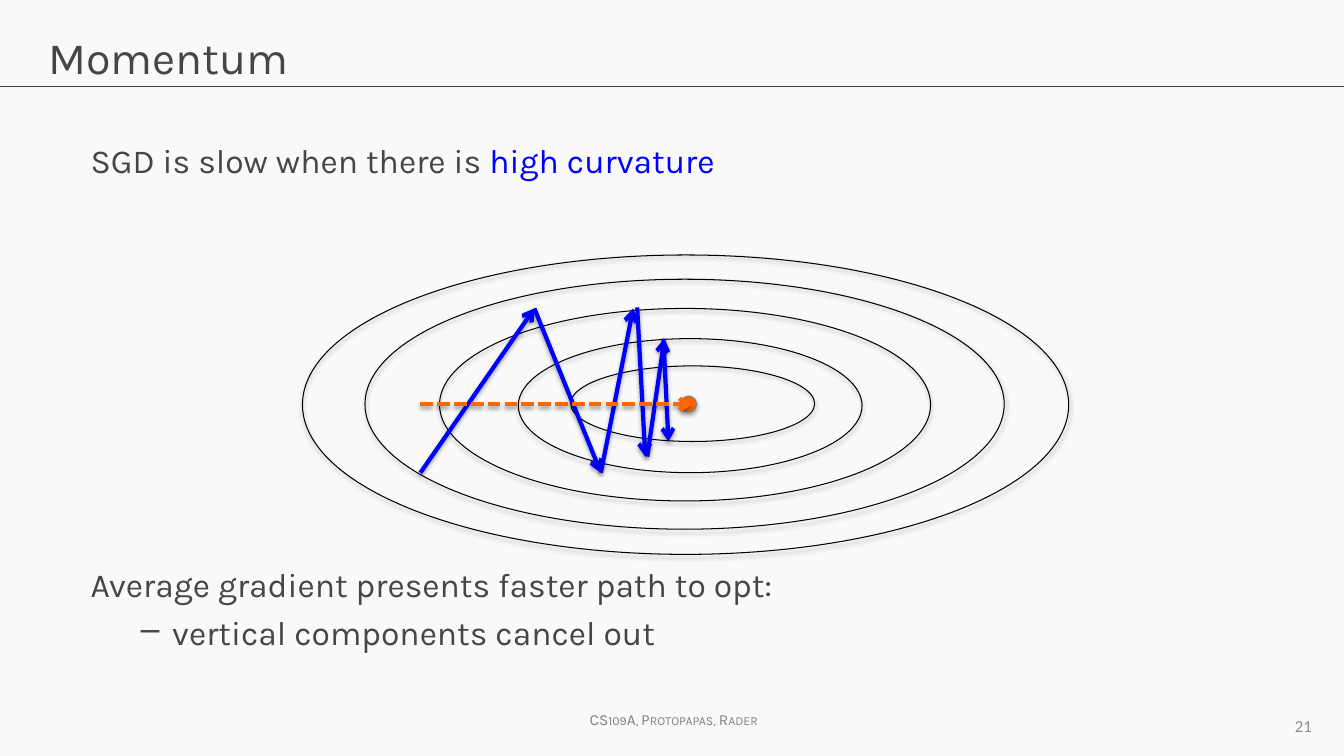
from dataclasses import dataclass
from lxml.etree import SubElement as Sub
from pptx import Presentation
from pptx.dml.color import RGBColor as RGB
from pptx.enum.dml import MSO_LINE as Dash
from pptx.enum.shapes import MSO_CONNECTOR as Conn, MSO_SHAPE as Geo
from pptx.enum.text import MSO_ANCHOR as Anchor, PP_ALIGN as Align
from pptx.oxml.ns import qn
from pptx.util import Inches, Pt


@dataclass(frozen=True)
class Theme:
    back: str = "F9F9F9"
    ink: str = "464646"
    rule: str = "404040"
    foot: str = "808080"
    page: str = "8C8C8C"
    ring: str = "000000"
    blue: str = "0000FF"
    hot: str = "FF6600"
    edge: str = "7F7F7F"
    font: str = "Karla"
    num: str = "Calibri"
    head: int = 32
    body: int = 24
    note: int = 11
    small: int = 12
    thin: float = 0.75
    bold: float = 3


class Deck:
    def __init__(self, theme):
        self.theme = theme
        self.prs = Presentation()
        self.prs.slide_width, self.prs.slide_height = Inches(13.33), Inches(7.5)
        self.slide = self.prs.slides.add_slide(self.prs.slide_layouts[5])
        fill = self.slide.background.fill
        fill.solid()
        fill.fore_color.rgb = RGB.from_string(theme.back)

    def frame(self, box, anchor=Anchor.TOP):
        form = {"word_wrap": True, "vertical_anchor": anchor}
        for key, val in form.items():
            setattr(box.text_frame, key, val)
        return box.text_frame

    def run(self, par, text, size, color, font=None):
        run = par.add_run()
        run.text = text
        form = {"name": font or self.theme.font, "size": Pt(size), "bold": False}
        for key, val in form.items():
            setattr(run.font, key, val)
        run.font.color.rgb = RGB.from_string(color)
        return run

    def title(self, text, *area):
        box = self.slide.shapes.title
        for key, val in zip(("left", "top", "width", "height"), area):
            setattr(box, key, Inches(val))
        par = self.frame(box).paragraphs[0]
        par.alignment = Align.LEFT
        self.run(par, text, self.theme.head, self.theme.ink)

    def text(self, *area, anchor=Anchor.TOP):
        box = self.slide.shapes.add_textbox(*map(Inches, area))
        return self.frame(box, anchor)

    def bullet(self, par, mark, left, hang):
        props = par._p.get_or_add_pPr()
        props.set("marL", str(Inches(left)))
        props.set("indent", str(Inches(-hang)))
        Sub(props, qn("a:buChar"), char=mark)

    def effect(self, item, shade=True):
        box = Sub(item._element.spPr, qn("a:effectLst"))
        if shade:
            cast = Sub(box, qn("a:outerShdw"), blurRad=str(Pt(3.1)),
                       dist=str(Pt(1.8)), dir="5400000", rotWithShape="0")
            color = Sub(cast, qn("a:srgbClr"), val="000000")
            Sub(color, qn("a:alpha"), val="35000")

    def stroke(self, item, color, width):
        item.line.color.rgb = RGB.from_string(color)
        item.line.width = Pt(width)

    def oval(self, area, line, fill=None):
        oval = self.slide.shapes.add_shape(Geo.OVAL, *map(Inches, area))
        if fill:
            oval.fill.solid()
            oval.fill.fore_color.rgb = RGB.from_string(fill)
        else:
            oval.fill.background()
        self.stroke(oval, line, self.theme.thin)
        self.effect(oval)

    def line(self, start, end, color, width, arrow=True, dash=None):
        line = self.slide.shapes.add_connector(
            Conn.STRAIGHT, *map(Inches, (*start, *end)))
        self.stroke(line, color, width)
        if dash:
            line.line.dash_style = dash
        if arrow:
            Sub(line.line._get_or_add_ln(), qn("a:tailEnd"), type="arrow")
        self.effect(line, shade=arrow)


def main():
    look = Theme()
    deck = Deck(look)

    # Title and rule
    deck.title("Momentum", 0.38, 0.24, 12.57, 0.84)
    deck.line((0, 0.86), (13.33, 0.86), look.rule, look.thin, arrow=False)

    # Body, with room for the drawing between its paragraphs
    body = deck.text(0.8, 1.34, 9, 5.21)
    par = body.paragraphs[0]
    deck.run(par, "SGD is slow when there is ", look.body, look.ink)
    deck.run(par, "high curvature", look.body, look.blue)
    par = body.add_paragraph()
    par.space_before = Pt(274)
    deck.run(par, "Average gradient presents faster path to opt:",
             look.body, look.ink)
    par = body.add_paragraph()
    par.space_before = Pt(5.5)
    deck.bullet(par, "–", 0.81, 0.31)
    deck.run(par, "vertical components cancel out", look.body, look.ink)

    # Contour rings
    rings = [(5.66, 3.63, 2.42, 0.75), (5.14, 3.36, 3.41, 1.33),
             (4.36, 3.06, 4.87, 1.91), (3.62, 2.77, 6.34, 2.48),
             (3, 2.53, 7.6, 2.97)]
    for ring in rings:
        deck.oval(ring, look.ring)

    # Optimum, zigzag steps and average gradient
    deck.oval((6.75, 3.93, 0.16, 0.16), look.edge, look.hot)
    steps = [((4.17, 4.69), (5.3, 3.06)), ((5.3, 3.06), (5.96, 4.69)),
             ((5.96, 4.69), (6.28, 3.06)), ((6.32, 3.05), (6.4, 4.53)),
             ((6.42, 4.53), (6.59, 3.36)), ((6.58, 3.36), (6.63, 4.38))]
    for start, end in steps:
        deck.line(start, end, look.blue, look.bold)
    deck.line((4.17, 4.01), (6.87, 4.01), look.hot, look.bold,
              dash=Dash.SQUARE_DOT)

    # Footer and page number
    par = deck.text(5.75, 7, 1.97, 0.29).paragraphs[0]
    run = deck.run(par, "CS109A, Protopapas, Rader", look.note, look.foot)
    run._r.get_or_add_rPr().set("cap", "small")
    par = deck.text(10, 7, 3.11, 0.4, anchor=Anchor.MIDDLE).paragraphs[0]
    par.alignment = Align.RIGHT
    deck.run(par, "21", look.small, look.page, look.num)

    deck.prs.save("out.pptx")


if __name__ == "__main__":
    main()
